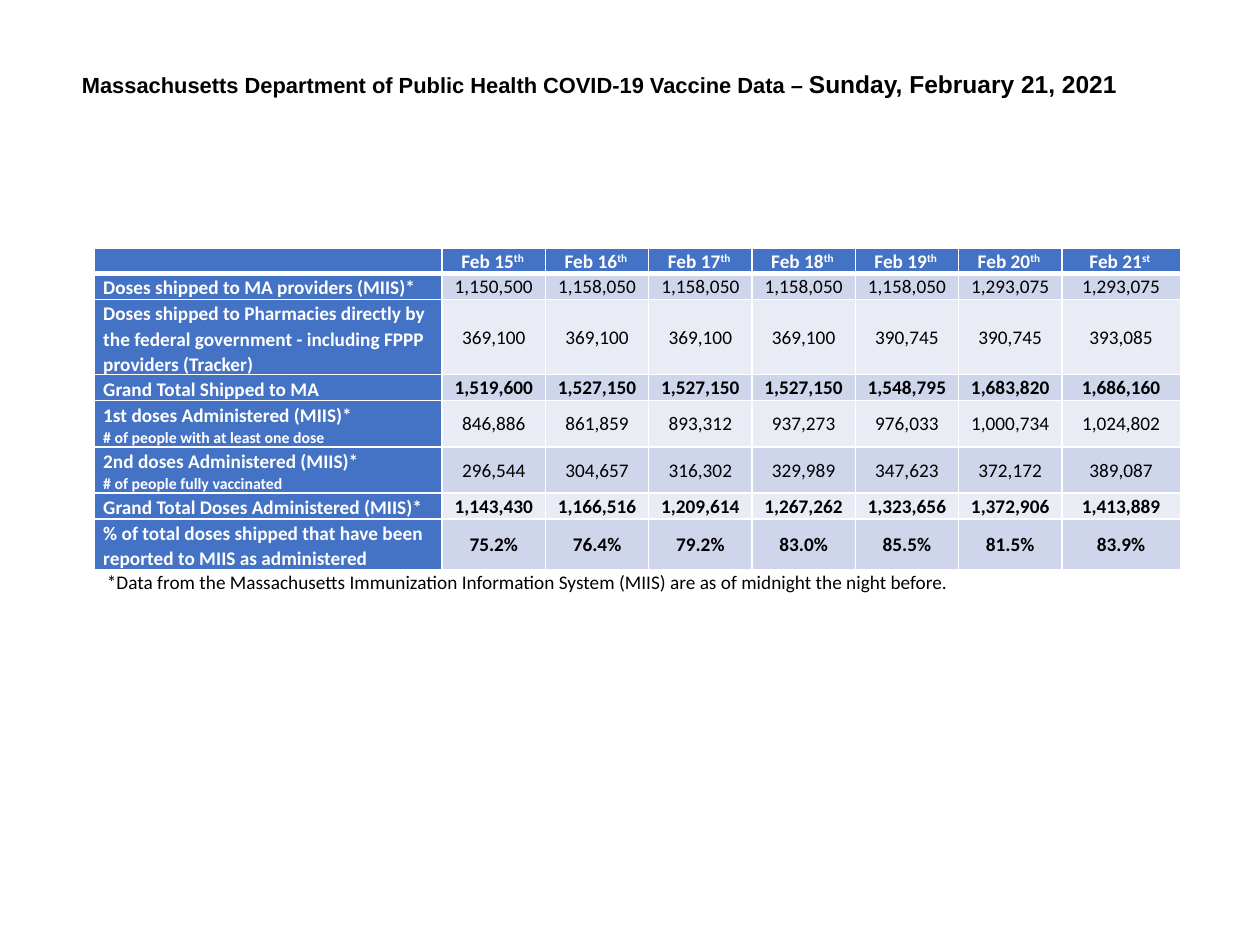
from lxml import etree
from pptx import Presentation
from pptx.dml import color
from pptx.enum import text
from pptx.oxml import ns
from pptx.util import Pt

COLORS = {
    "ink": "000000",
    "white": "FFFFFF",
    "header": "4472C4",
    "odd": "CFD5EA",
    "even": "E9EBF5",
}


class Sheet:
    body_font = "Calibri"
    title_font = "Arial"
    size = 11

    def __init__(self, deck):
        self.slide = deck.slides.add_slide(deck.slide_layouts[5])

    def run(self, paragraph, wording, size=None, ink="ink", bold=False, font=None, raised=False):
        run = paragraph.add_run()
        run.text = wording
        run.font.size = Pt(size or self.size)
        run.font.name = font or self.body_font
        run.font.bold = bold
        run.font.color.rgb = color.RGBColor.from_string(COLORS[ink])
        if raised:
            run.font._element.set("baseline", "30000")

    def place(self, shape, left, top, width, height):
        shape.left, shape.top = Pt(left), Pt(top)
        shape.width, shape.height = Pt(width), Pt(height)

    def title(self, box, runs):
        heading = self.slide.shapes.title
        self.place(heading, *box)
        frame = heading.text_frame
        frame.word_wrap = True
        frame.auto_size = text.MSO_AUTO_SIZE.SHAPE_TO_FIT_TEXT
        frame.vertical_anchor = text.MSO_ANCHOR.TOP
        paragraph = frame.paragraphs[0]
        paragraph.alignment = text.PP_ALIGN.LEFT
        for wording, size in runs:
            self.run(paragraph, wording, size, bold=True, font=self.title_font)

    def note(self, box, wording):
        frame = self.slide.shapes.add_textbox(*map(Pt, box)).text_frame
        frame.word_wrap = True
        frame.auto_size = text.MSO_AUTO_SIZE.SHAPE_TO_FIT_TEXT
        self.run(frame.paragraphs[0], wording)

    def table(self, left, top, widths, row_height, row_count):
        grid = self.slide.shapes.add_table(
            row_count, len(widths), Pt(left), Pt(top),
            Pt(sum(widths)), Pt(row_height * row_count)).table
        grid.horz_banding = False
        for column, width in zip(grid.columns, widths):
            column.width = Pt(width)
        for row in grid.rows:
            row.height = Pt(row_height)
        return grid

    def borders(self, cell, **widths):
        properties = cell._tc.get_or_add_tcPr()
        for index, side in enumerate("LRTB"):
            line = etree.Element(ns.qn(f"a:ln{side}"), w=str(Pt(widths.get(side, 1))))
            fill = etree.SubElement(line, ns.qn("a:solidFill"))
            etree.SubElement(fill, ns.qn("a:srgbClr"), val=COLORS["white"])
            properties.insert(index, line)

    def cell(self, cell, fill, paragraphs, margins, centered=True, **borders):
        cell.fill.solid()
        cell.fill.fore_color.rgb = color.RGBColor.from_string(COLORS[fill])
        self.borders(cell, **borders)
        cell.vertical_anchor = text.MSO_ANCHOR.MIDDLE
        side, top = margins
        cell.margin_left = cell.margin_right = Pt(side)
        cell.margin_top, cell.margin_bottom = Pt(top), Pt(0)
        for index, runs in enumerate(paragraphs):
            frame = cell.text_frame
            paragraph = frame.add_paragraph() if index else frame.paragraphs[0]
            paragraph.line_spacing = 1.05 if centered else 1.07
            paragraph.alignment = text.PP_ALIGN.CENTER if centered else text.PP_ALIGN.LEFT
            for wording, style in runs:
                self.run(paragraph, wording, **style)
            if not runs:
                etree.SubElement(paragraph._p, ns.qn("a:endParaRPr"), sz=str(self.size * 100))


DAYS = [("Feb 15", "th "), ("Feb 16", "th "), ("Feb 17", "th "), ("Feb 18", "th "),
        ("Feb 19", "th "), ("Feb 20", "th "), ("Feb 21", "st ")]
MEASURES = [
    ("Doses shipped to MA providers (MIIS)*", "", False,
     "1,150,500 1,158,050 1,158,050 1,158,050 1,158,050 1,293,075 1,293,075"),
    ("Doses shipped to Pharmacies directly by the federal government - including FPPP "
     "providers (Tracker)", "", False,
     "369,100 369,100 369,100 369,100 390,745 390,745 393,085"),
    ("Grand Total Shipped to MA", "", True,
     "1,519,600 1,527,150 1,527,150 1,527,150 1,548,795 1,683,820 1,686,160"),
    ("1st doses Administered (MIIS)*", "# of people with at least one dose ", False,
     "846,886 861,859 893,312 937,273 976,033 1,000,734 1,024,802"),
    ("2nd doses Administered (MIIS)*", "# of people fully vaccinated", False,
     "296,544 304,657 316,302 329,989 347,623 372,172 389,087"),
    ("Grand Total Doses Administered (MIIS)*", "", True,
     "1,143,430 1,166,516 1,209,614 1,267,262 1,323,656 1,372,906 1,413,889"),
    ("% of total doses shipped that have been reported to MIIS as administered", "", True,
     "75.2% 76.4% 79.2% 83.0% 85.5% 81.5% 83.9%"),
]

deck = Presentation()
deck.slide_width, deck.slide_height = Pt(720), Pt(540)
sheet = Sheet(deck)

sheet.title((39.6, 36, 640.8, 24.5), [
    ("Massachusetts Department of Public Health COVID-19 Vaccine Data – ", 12.5),
    ("Sunday, February 21, 2021", 14),
])
sheet.note((54, 322.56, 601.9, 20.9),
           "*Data from the Massachusetts Immunization Information System (MIIS) "
           "are as of midnight the night before.")

label = {"ink": "white", "bold": True}
day_margins = [(5, 0)] * 4 + [(0, 0)] * 3
doses = sheet.table(54, 141.84, [198.7] + [59.04] * 6 + [67.7], 14.4, len(MEASURES) + 1)

sheet.cell(doses.cell(0, 0), "header", [[]], (5, 0), B=3)
for column, (day, suffix) in enumerate(DAYS, 1):
    heading = [(day, label), (suffix, {**label, "raised": True})]
    sheet.cell(doses.cell(0, column), "header", [heading], day_margins[column - 1], B=3)

for row, (measure, detail, total, counts) in enumerate(MEASURES, 1):
    top_border = 3 if row == 1 else 1
    lines = [[(measure, label)]]
    if detail:
        lines.append([(detail, {**label, "size": 9})])
    sheet.cell(doses.cell(row, 0), "header", lines, (5, 0.7), centered=False, T=top_border)
    band = "odd" if row % 2 else "even"
    for column, count in enumerate(counts.split(), 1):
        sheet.cell(doses.cell(row, column), band, [[(count, {"bold": total})]],
                   day_margins[column - 1], T=top_border)

deck.save("out.pptx")
